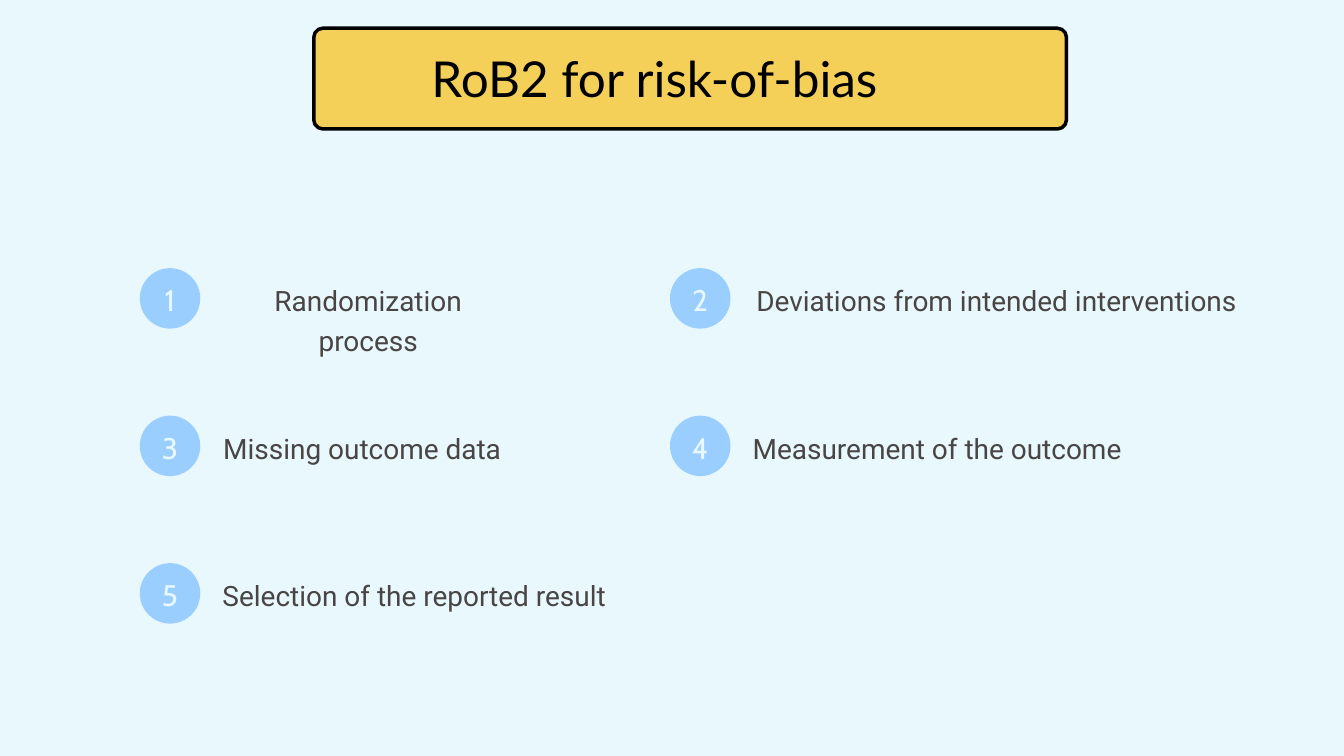
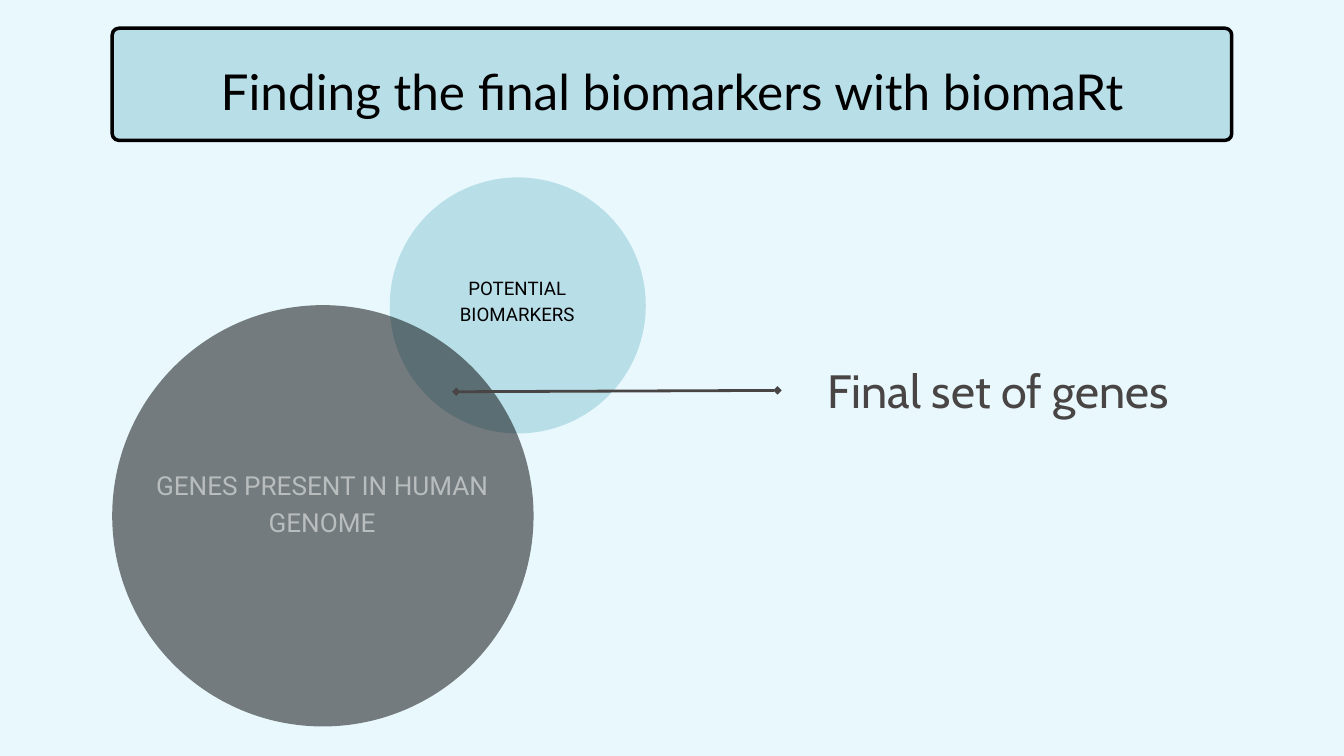
import dataclasses

import lxml.etree
import pptx
import pptx.dml.color
import pptx.enum.shapes
import pptx.enum.text
import pptx.oxml
import pptx.oxml.ns
import pptx.util

RGBColor = pptx.dml.color.RGBColor
ALIGN = pptx.enum.text.PP_ALIGN
ANCHOR = pptx.enum.text.MSO_ANCHOR
SHAPE = pptx.enum.shapes.MSO_SHAPE

ICE = RGBColor(0xE8, 0xF8, 0xFD)
YELLOW = RGBColor(0xF4, 0xD0, 0x59)
TEAL = RGBColor(0xB8, 0xDE, 0xE8)
SKY = RGBColor(0x9A, 0xCE, 0xFF)
GRAPHITE = RGBColor(0x49, 0x45, 0x45)
BLACK = RGBColor(0, 0, 0)
WHITE = RGBColor(0xFF, 0xFF, 0xFF)

TITLE = {"name": "Lato", "size": pptx.util.Pt(53), "bold": False}
DOMAIN = {"name": "Roboto", "size": pptx.util.Pt(30)}
NUMBER = {"name": "Cabin", "size": pptx.util.Pt(31.9)}
SMALL_SET = {"name": "Roboto", "size": pptx.util.Pt(20)}
LARGE_SET = {"name": "Roboto", "size": pptx.util.Pt(28)}
RESULT = {"name": "Cabin", "size": pptx.util.Pt(50)}

DOMAINS = [
    ("Randomization process", 55, ALIGN.CENTER),
    ("Deviations from intended interventions", 92, ALIGN.CENTER),
    ("Missing outcome data", 52.72, ALIGN.CENTER),
    ("Measurement of the outcome", 71.36, ALIGN.LEFT),
    ("Selection of the reported result", 81.24, ALIGN.LEFT),
]


@dataclasses.dataclass
class Box:
    """A rectangle that hands out areas measured on its own 100 by 100 grid."""

    left: int
    top: int
    width: int
    height: int

    def point(self, column, row):
        """Return the slide position of a grid point."""
        return (round(self.left + self.width * column / 100),
                round(self.top + self.height * row / 100))

    def area(self, column, row, columns, rows):
        """Return the box that spans the given columns and rows."""
        return Box(*self.point(column, row),
                   round(self.width * columns / 100),
                   round(self.height * rows / 100))

    def frame(self):
        """Return left, top, width and height."""
        return self.left, self.top, self.width, self.height


PAGE = Box(0, 0, pptx.util.Inches(20), pptx.util.Inches(11.25))


def set_opacity(fill, percent):
    """Make a solid fill partly transparent."""
    color = fill._xPr.find(".//" + pptx.oxml.ns.qn("a:srgbClr"))
    alpha = lxml.etree.SubElement(color, pptx.oxml.ns.qn("a:alpha"))
    alpha.set("val", str(percent * 1000))


def write(shape, text, style, color, spacing, align=ALIGN.CENTER,
          anchor=ANCHOR.TOP, opacity=100):
    """Fill a shape with one formatted paragraph."""
    frame = shape.text_frame
    layout = {"word_wrap": True, "vertical_anchor": anchor,
              "auto_size": pptx.enum.text.MSO_AUTO_SIZE.NONE,
              "margin_left": 0, "margin_top": 0,
              "margin_right": 0, "margin_bottom": 0}
    for name, value in layout.items():
        setattr(frame, name, value)
    para = frame.paragraphs[0]
    para.alignment = align
    para.line_spacing = pptx.util.Pt(spacing)
    span = para.add_run()
    span.text = text
    for name, value in style.items():
        setattr(span.font, name, value)
    span.font.color.rgb = color
    if opacity < 100:
        set_opacity(span.font.fill, opacity)


def add_label(page, box, *content, **options):
    """Add a text box with one paragraph."""
    write(page.shapes.add_textbox(*box.frame()), *content, **options)


def add_figure(page, kind, box, color):
    """Add a filled shape without outline or shadow."""
    figure = page.shapes.add_shape(kind, *box.frame())
    figure.shadow.inherit = False
    figure.fill.solid()
    figure.fill.fore_color.rgb = color
    figure.line.fill.background()
    return figure


def add_banner(page, box, color, corner, title_box, text, spacing, align):
    """Draw the outlined title band and set the title on it."""
    band = add_figure(page, SHAPE.ROUNDED_RECTANGLE, box, color)
    band.adjustments[0] = corner
    band.line.color.rgb = BLACK
    band.line.width = pptx.util.Pt(3.75)
    title = page.shapes.title
    title._element.addprevious(band._element)
    for name, value in dataclasses.asdict(title_box).items():
        setattr(title, name, value)
    write(title, text, TITLE, BLACK, spacing, align)


def add_domain(page, box, number, text, columns, align):
    """Place a numbered circle and the name of a bias domain."""
    circle = add_figure(page, SHAPE.OVAL, box.area(0, 0, 11.41, 100), SKY)
    write(circle, str(number), NUMBER, ICE, 44.6, anchor=ANCHOR.MIDDLE)
    circle.text_frame.margin_bottom = pptx.util.Inches(0.05)
    add_label(page, box.area(15.59, 16.67, columns, 61.11), text, DOMAIN,
              GRAPHITE, 42, align)


def add_gene_set(page, box, color, text, style, text_color, spacing, row,
                 opacity=100):
    """Place one circle of the Venn diagram with its name."""
    circle = add_figure(page, SHAPE.OVAL, box, color)
    if opacity < 100:
        set_opacity(circle.fill, opacity)
    add_label(page, box.area(9.2, row, 81.2, 87), text, style, text_color,
              spacing, anchor=ANCHOR.MIDDLE, opacity=opacity)


def add_pointer(page, start, end):
    """Draw a line with a diamond at both ends."""
    pointer = page.shapes.add_connector(
        pptx.enum.shapes.MSO_CONNECTOR.STRAIGHT, *start, *end)
    pointer.line.color.rgb = GRAPHITE
    pointer.line.width = pptx.util.Pt(3)
    outline = pointer.line._get_or_add_ln()
    for tag in ("a:headEnd", "a:tailEnd"):
        tip = lxml.etree.SubElement(outline, pptx.oxml.ns.qn(tag))
        tip.set("type", "diamond")
    lxml.etree.SubElement(pointer._element.spPr,
                          pptx.oxml.ns.qn("a:effectLst"))


def build_bias_page(page, box):
    """Lay out the five bias domains in two columns."""
    banner = box.area(23.35, 3.73, 56, 13.33)
    add_banner(page, banner, YELLOW, 0.09,
               banner.area(15.63, 24.67, 63.93, 54.67),
               "RoB2 for risk-of-bias", 58.3, ALIGN.LEFT)
    for index, (text, columns, align) in enumerate(DOMAINS):
        row, column = divmod(index, 2)
        cell = box.area(10.4 + 39.45 * column, 35.47 + 19.51 * row, 39.45, 8)
        add_domain(page, cell, index + 1, text, columns, align)


def build_biomarker_page(page, box):
    """Lay out the two overlapping gene sets and their result."""
    banner = box.area(8.35, 3.73, 83.3, 14.84)
    add_banner(page, banner, TEAL, 0.06,
               banner.area(5.88, 20.36, 88.3, 57.49),
               "Finding the final biomarkers with biomaRt", 74.2, ALIGN.CENTER)
    add_gene_set(page, box.area(29, 23.47, 19.05, 33.87), TEAL,
                 "POTENTIAL BIOMARKERS", SMALL_SET, BLACK, 28, 4)
    add_gene_set(page, box.area(8.35, 40.36, 31.35, 55.73), BLACK,
                 "GENES PRESENT IN HUMAN GENOME", LARGE_SET, WHITE, 39.2, 3,
                 opacity=50)
    add_pointer(page, box.point(33.95, 51.82), box.point(57.85, 51.64))
    add_label(page, box.area(60.45, 46.58, 27.7, 8.36), "Final set of genes",
              RESULT, GRAPHITE, 70)


def main():
    """Build and save the deck."""
    deck = pptx.Presentation()
    deck.slide_width, deck.slide_height = PAGE.width, PAGE.height
    backdrop = deck.slide_master.background.fill
    backdrop.solid()
    backdrop.fore_color.rgb = ICE
    for build in (build_bias_page, build_biomarker_page):
        build(deck.slides.add_slide(deck.slide_layouts[5]), PAGE)
    deck.save("out.pptx")


if __name__ == "__main__":
    main()
